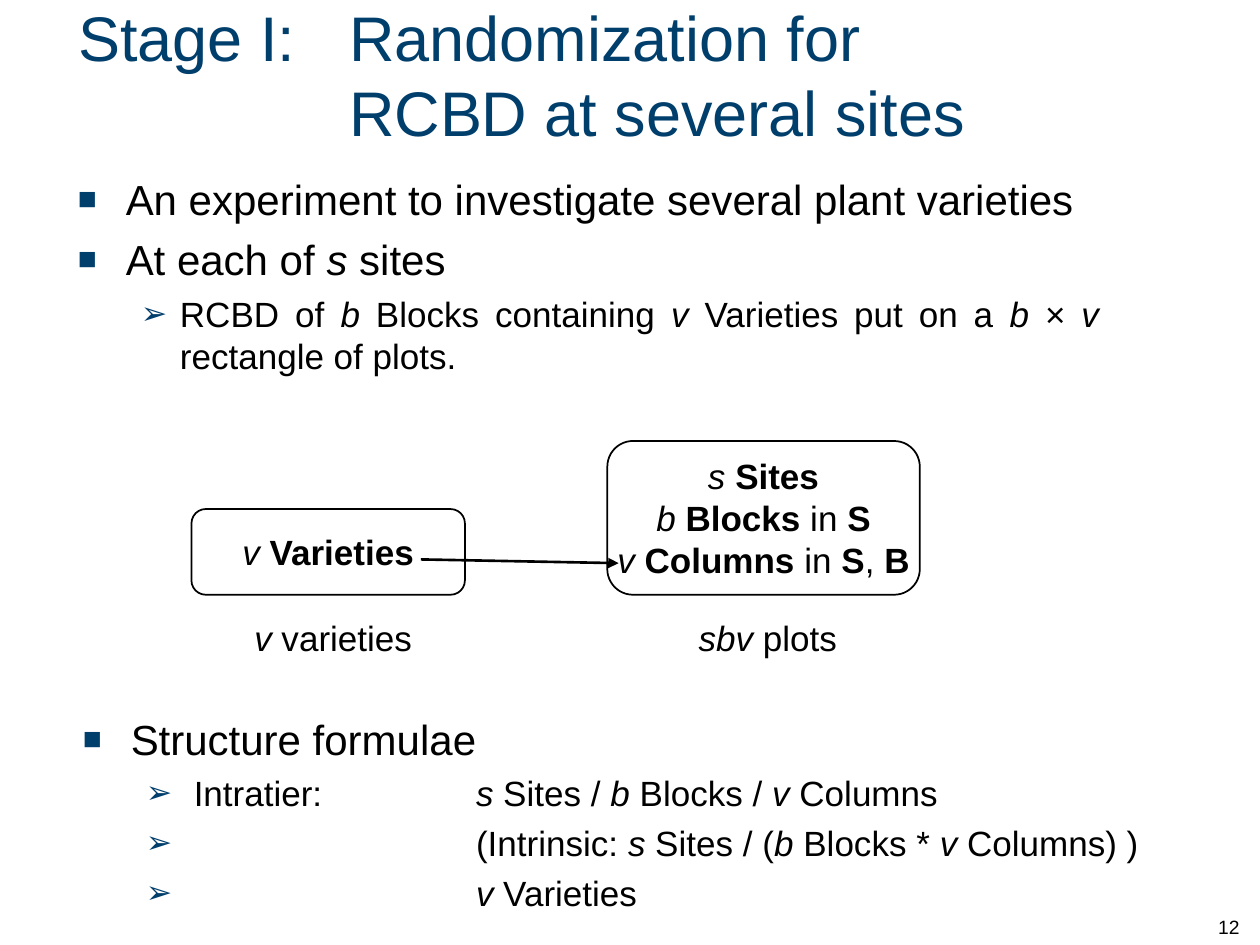
from dataclasses import dataclass

from lxml.etree import SubElement
from pptx import Presentation
from pptx.dml.color import RGBColor
from pptx.enum.shapes import MSO_CONNECTOR as Connector, MSO_SHAPE as Shape
from pptx.enum.text import MSO_ANCHOR as Anchor, MSO_AUTO_SIZE as AutoSize, PP_ALIGN as Align
from pptx.oxml.ns import qn
from pptx.util import Inches, Pt

COLUMNS, ROWS = 100, 75


@dataclass(frozen=True)
class Theme:
    """Colours, font and type sizes of the deck."""
    accent: str = "003E6C"
    ink: str = "000000"
    font: str = "Arial"
    title: int = 36
    body: int = 24
    detail: int = 20
    number: int = 11
    spacing: float = 0.23


@dataclass(frozen=True)
class Bullet:
    """Level, mark, mark size in percent, and indents in inches."""
    level: int
    mark: str
    percent: int
    left: float
    hang: float


MAIN = Bullet(0, "■", 75, 0.38, 0.38)
POINT = Bullet(1, "➢", 90, 0.81, 0.31)
FORMULA = Bullet(1, "➢", 90, 0.88, 0.38)


class SlideBuilder:
    """Draws styled elements on the current slide, in grid units."""

    def __init__(self, deck, theme):
        """Add a title-only slide to the deck."""
        self.theme = theme
        self.width, self.height = deck.slide_width, deck.slide_height
        self.page = deck.slides.add_slide(deck.slide_layouts[5])

    def grid(self, column, row):
        """Convert grid columns and rows to slide lengths."""
        return round(column * self.width / COLUMNS), round(row * self.height / ROWS)

    def area(self, left, top, width, height):
        """Convert a grid rectangle to slide lengths."""
        return *self.grid(left, top), *self.grid(width, height)

    def style(self, span, size, colour, italic=False, bold=False):
        """Format one run."""
        font = span.font
        font.name, font.size = self.theme.font, Pt(size)
        font.italic, font.bold = italic, bold
        font.color.rgb = RGBColor.from_string(colour)

    def add_spans(self, para, text, size):
        """Fill a paragraph with text in which _x_ is italic and ^x^ is bold."""
        for slant, piece in enumerate(text.split("_")):
            for weight, part in enumerate(piece.split("^")):
                if part:
                    span = para.add_run()
                    span.text = part
                    self.style(span, size, self.theme.ink, slant % 2 == 1, weight % 2 == 1)

    def indent(self, para, left, hang):
        """Give a paragraph a hanging indent in inches."""
        properties = para._p.get_or_add_pPr()
        properties.set("marL", str(Inches(left)))
        properties.set("indent", str(-Inches(hang)))
        return properties

    def title(self, place, text, hang):
        """Place and format the title."""
        box = self.page.shapes.title
        box.left, box.top, box.width, box.height = self.area(*place)
        frame = box.text_frame
        frame.text = text
        frame.auto_size, frame.vertical_anchor = AutoSize.NONE, Anchor.MIDDLE
        para = frame.paragraphs[0]
        para.alignment = Align.LEFT
        self.indent(para, hang, hang)
        for span in para.runs:
            self.style(span, self.theme.title, self.theme.accent)

    def text(self, place, text, size, align=Align.LEFT, anchor=Anchor.TOP):
        """Add a one-paragraph text box."""
        frame = self.page.shapes.add_textbox(*self.area(*place)).text_frame
        frame.word_wrap, frame.vertical_anchor = True, anchor
        frame.paragraphs[0].alignment = align
        self.add_spans(frame.paragraphs[0], text, size)

    def bullets(self, place, items, align=Align.LEFT, tab=None):
        """Add a bulleted list of (bullet, text) items."""
        frame = self.page.shapes.add_textbox(*self.area(*place)).text_frame
        frame.word_wrap = True
        for index, (bullet, text) in enumerate(items):
            para = frame.add_paragraph() if index else frame.paragraphs[0]
            size = self.theme.detail if bullet.level else self.theme.body
            para.level, para.alignment = bullet.level, align
            para.space_before = Pt(size * self.theme.spacing)
            properties = self.indent(para, bullet.left, bullet.hang)
            colour = SubElement(properties, qn("a:buClr"))
            SubElement(colour, qn("a:srgbClr"), val=self.theme.accent)
            SubElement(properties, qn("a:buSzPct"), val=str(bullet.percent * 1000))
            SubElement(properties, qn("a:buFont"), typeface=self.theme.font)
            SubElement(properties, qn("a:buChar"), char=bullet.mark)
            if tab:
                stops = SubElement(properties, qn("a:tabLst"))
                SubElement(stops, qn("a:tab"), pos=str(Inches(tab)), algn="l")
            self.add_spans(para, text, size)

    def panel(self, place, lines):
        """Add an outlined rounded box with centred lines."""
        box = self.page.shapes.add_shape(Shape.ROUNDED_RECTANGLE, *self.area(*place))
        box.shadow.inherit = False
        box.fill.background()
        box.line.color.rgb = RGBColor.from_string(self.theme.ink)
        box.line.width = Pt(1)
        frame = box.text_frame
        frame.word_wrap, frame.vertical_anchor = False, Anchor.MIDDLE
        for index, line in enumerate(lines):
            para = frame.add_paragraph() if index else frame.paragraphs[0]
            para.alignment = Align.CENTER
            self.add_spans(para, line, self.theme.detail)

    def arrow(self, start, end):
        """Add a straight arrow between two grid points."""
        arrow = self.page.shapes.add_connector(
            Connector.STRAIGHT, *self.grid(*start), *self.grid(*end))
        arrow.line.color.rgb = RGBColor.from_string(self.theme.ink)
        arrow.line.width = Pt(1.5)
        properties = arrow._element.spPr
        SubElement(properties.find(qn("a:ln")), qn("a:tailEnd"), type="triangle")
        SubElement(properties, qn("a:effectLst"))


def main():
    """Build and save the slide."""
    deck = Presentation()
    deck.slide_width, deck.slide_height = Inches(10), Inches(7.5)
    theme = Theme()
    slide = SlideBuilder(deck, theme)

    slide.title((5.2, 0.9, 94.8, 9.9),
                "Stage I:\tRandomization for \vRCBD at several sites", 2.15)
    slide.bullets((5.6, 56.1, 91, 18.9), [
        (MAIN, "Structure formulae"),
        (FORMULA, "Intratier: \t_s_ Sites / _b_ Blocks / _v_ Columns"),
        (FORMULA, "\t(Intrinsic: _s_ Sites / (_b_ Blocks * _v_ Columns) )"),
        (FORMULA, "\t_v_ Varieties"),
    ], tab=3.12)
    slide.text((95.7, 70, 4.2, 5), "12", theme.number, anchor=Anchor.BOTTOM)

    slide.arrow((33.4, 44.4), (49.1, 44.7))
    slide.panel((15.2, 40.4, 21.7, 6.8), ["_v _^Varieties^"])
    slide.panel((48.2, 35, 24.8, 12.2), [
        "_s _^Sites^", "_b _^Blocks^ in ^S^", "_v _^Columns^ in ^S^, ^B^"])
    for left, caption in ((16.8, "_v_ varieties"), (51.3, "_sbv_ plots")):
        slide.text((left, 48.4, 19.3, 4.3), caption, theme.detail, Align.CENTER)

    slide.bullets((5.2, 13.3, 83, 18.6), [
        (MAIN, "An experiment to investigate several plant varieties"),
        (MAIN, "At each of _s_ sites"),
        (POINT, "RCBD of _b_ Blocks containing _v_ Varieties put on a _b _× _v_ rectangle of plots."),
    ], Align.JUSTIFY)
    deck.save("out.pptx")


if __name__ == "__main__":
    main()
